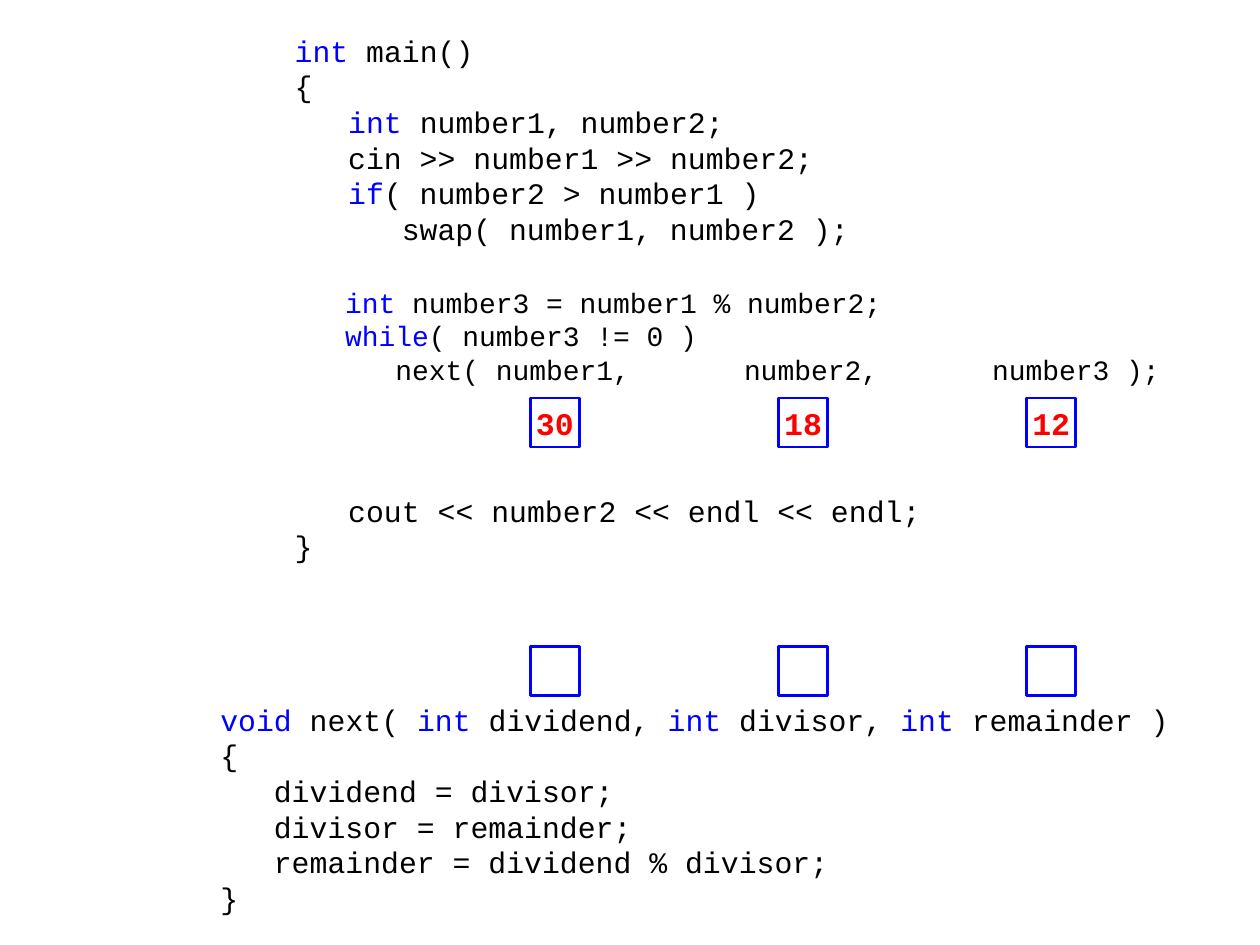
from dataclasses import dataclass

from lxml.etree import SubElement
from pptx import Presentation
from pptx.dml.color import RGBColor
from pptx.enum.shapes import MSO_SHAPE
from pptx.enum.text import MSO_ANCHOR, PP_ALIGN
from pptx.oxml.ns import qn
from pptx.util import Pt


@dataclass(frozen=True)
class Theme:
    face: str = "Courier New"
    ink: RGBColor = RGBColor(0, 0, 0)
    blue: RGBColor = RGBColor(0, 0, 255)
    red: RGBColor = RGBColor(255, 0, 0)
    code: int = 17
    small: int = 16
    value: int = 18
    lead: float = 1.2
    glyph: float = 0.6


THEME = Theme()
PITCH = 141.8
SIDE = 28

MAIN = [
    (0, 17, 0, "~int~ main()"),
    (0, 17, 0, "{"),
    (3, 17, 0, "~int~ number1, number2;"),
    (3, 17, 0, "cin >> number1 >> number2;"),
    (3, 17, 0, "~if~( number2 > number1 )"),
    (6, 17, 0, "swap( number1, number2 );"),
    (3, 16, 22, "~int~ number3 = number1 % number2;"),
    (3, 16, 0, "~while~( number3 != 0 )"),
    (0, 16, 0, "\tnext( number1,\tnumber2,\tnumber3 );"),
    (3, 17, 61, "cout << number2 << endl << endl;"),
    (0, 17, 0, "}"),
]
NEXT = [
    (0, 17, 0, "~void~ next( ~int~ dividend, ~int~ divisor, ~int~ remainder )"),
    (0, 17, 0, "{"),
    (3, 17, 0, "dividend = divisor;"),
    (3, 17, 0, "divisor = remainder;"),
    (3, 17, 0, "remainder = dividend % divisor;"),
    (0, 17, 0, "}"),
]


def apply(item, form):
    for name, value in form.items():
        setattr(item, name, value)


def add_run(para, text, size, color, bold=False):
    run = para.add_run()
    run.text = text
    apply(run.font, {"name": THEME.face, "size": Pt(size), "bold": bold})
    run.font.color.rgb = color


def add_stops(para, stops):
    tabs = SubElement(para._p.get_or_add_pPr(), qn("a:tabLst"))
    for stop in stops:
        SubElement(tabs, qn("a:tab"), pos=str(Pt(stop)), algn="l")


def add_line(para, depth, size, gap, text):
    apply(para, {"line_spacing": Pt(size * THEME.lead), "space_before": Pt(gap)})
    width = size * THEME.glyph
    para._p.get_or_add_pPr().set("marL", str(Pt(depth * width)))
    if "\t" in text:
        add_stops(para, [6 * width] + [256.8 + PITCH * i for i in range(2)])
    for i, part in enumerate(text.split("~")):
        if part:
            add_run(para, part, size, THEME.blue if i % 2 else THEME.ink)


def add_code(slide, left, top, width, height, lines):
    frame = slide.shapes.add_textbox(Pt(left), Pt(top), Pt(width), Pt(height)).text_frame
    apply(frame, {"word_wrap": True, "margin_left": Pt(7.2), "margin_right": Pt(2.9),
                  "margin_top": Pt(3.6), "margin_bottom": Pt(3.6)})
    for i, line in enumerate(lines):
        add_line(frame.add_paragraph() if i else frame.paragraphs[0], *line)


def add_box(slide, left, top, text):
    box = slide.shapes.add_shape(MSO_SHAPE.RECTANGLE, Pt(left), Pt(top), Pt(SIDE), Pt(SIDE))
    box.shadow.inherit = False
    box.fill.background()
    box.line.color.rgb = THEME.blue
    box.line.width = Pt(1.5)
    if text:
        frame = box.text_frame
        apply(frame, {"word_wrap": False, "vertical_anchor": MSO_ANCHOR.MIDDLE,
                      "margin_left": Pt(2.9), "margin_right": Pt(2.9),
                      "margin_top": Pt(2.9), "margin_bottom": Pt(2.9)})
        frame.paragraphs[0].alignment = PP_ALIGN.CENTER
        add_run(frame.paragraphs[0], text, THEME.value, THEME.red, True)


def add_row(slide, top, texts):
    for i, text in enumerate(texts):
        add_box(slide, 303.1 + PITCH * i, top, text)


def main():
    deck = Presentation()
    apply(deck, {"slide_width": Pt(720), "slide_height": Pt(540)})
    slide = deck.slides.add_slide(deck.slide_layouts[6])
    add_code(slide, 161.3, 15.1, 538.6, 311.8, MAIN)
    add_code(slide, 118.8, 397.4, 567.4, 127.4, NEXT)
    add_row(slide, 227.5, ["30", "18", "12"])
    add_row(slide, 369.4, ["", "", ""])
    deck.save("out.pptx")


if __name__ == "__main__":
    main()
